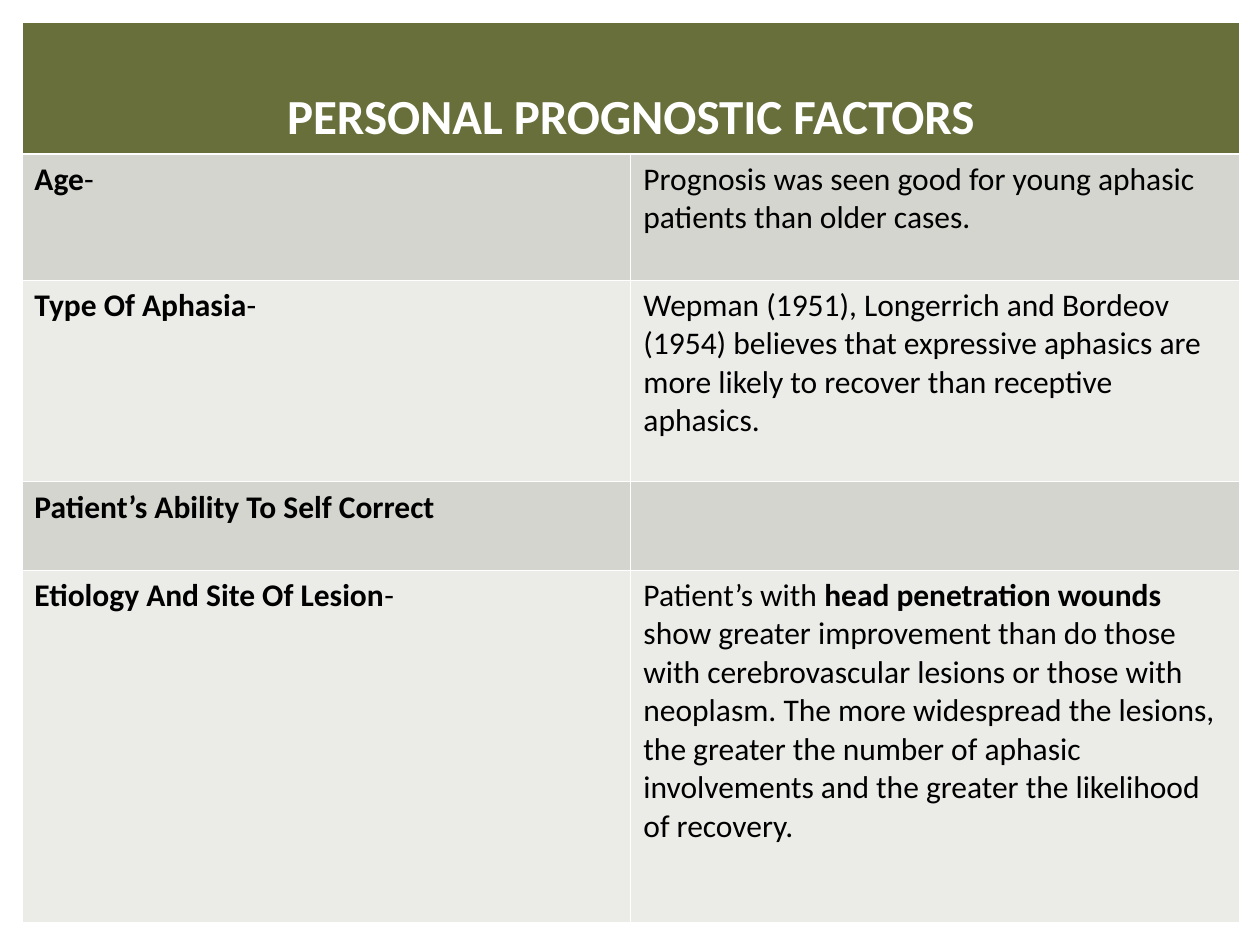
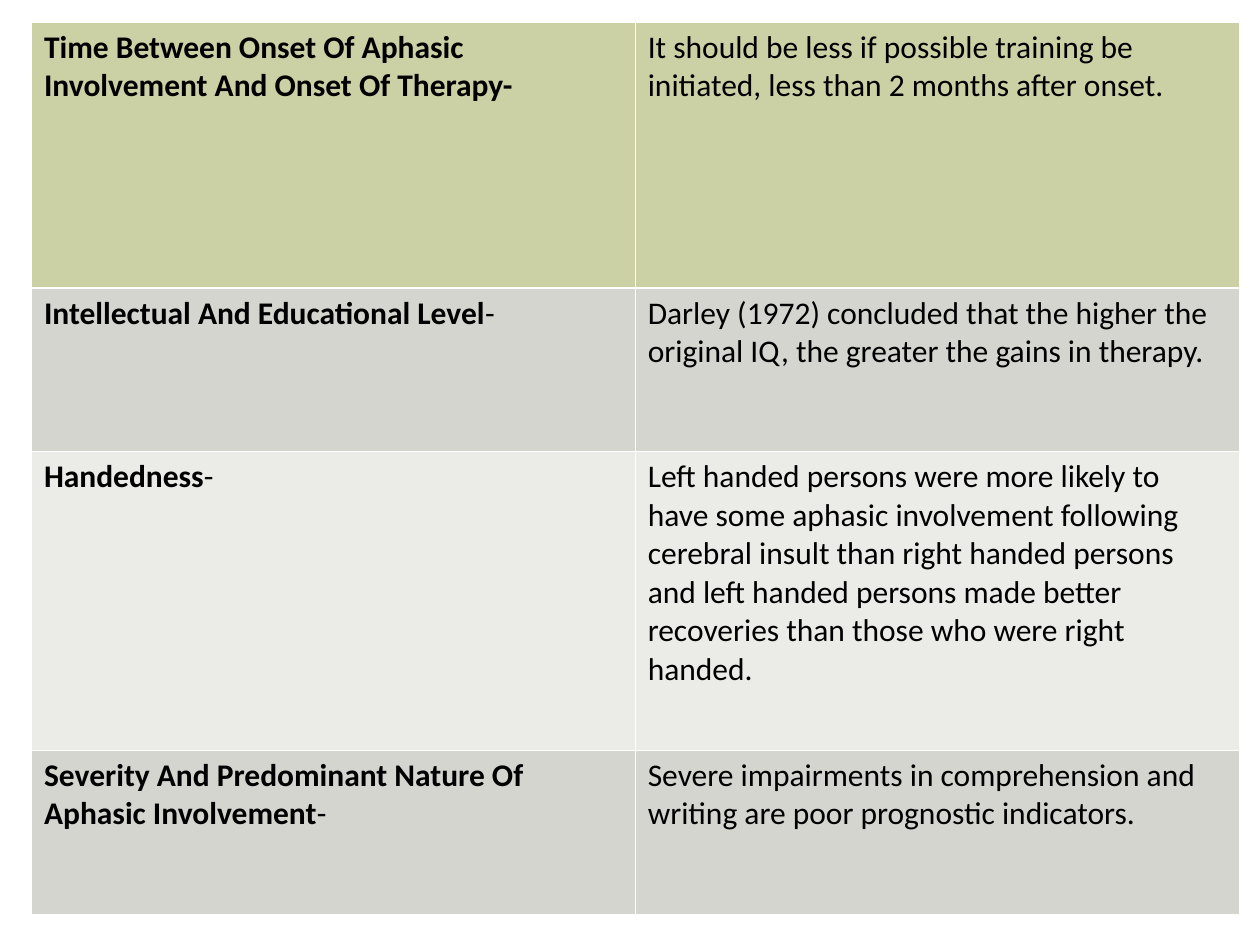
"""Build two table slides on the prognostic factors of aphasia."""
from lxml.etree import SubElement as Sub
from pptx import Presentation
from pptx.dml.color import RGBColor
from pptx.enum.text import PP_ALIGN as Align
from pptx.oxml.ns import qn
from pptx.util import Pt

WHITE = RGBColor(0xFF, 0xFF, 0xFF)
BLACK = RGBColor(0, 0, 0)
OLIVE = RGBColor(0x68, 0x6F, 0x3A)
LIME = RGBColor(0xCB, 0xD0, 0xA5)
GREY = RGBColor(0xD4, 0xD5, 0xCE)
PALE = RGBColor(0xEB, 0xEB, 0xE8)
BANDS = [GREY, PALE]
FONT = "Calibri"
THIN, THICK = 0.45, 1.47


def edge(cell, side, width):
    line = Sub(cell._tc.get_or_add_tcPr(), qn(f"a:ln{side}"), w=str(Pt(width)))
    fill = Sub(line, qn("a:solidFill"))
    Sub(fill, qn("a:srgbClr"), val=str(WHITE))


def write(cell, text, size, color):
    para = cell.text_frame.paragraphs[0]
    para.font.name = FONT
    para.font.size = Pt(size)
    para.font.color.rgb = color
    parts = [(part, i % 2 == 1) for i, part in enumerate(text.split("*")) if part]
    for part, bold in parts:
        run = para.add_run()
        run.text = part
        if len(parts) > 1:
            run.font.bold = bold
    if len(parts) == 1:
        para.font.bold = parts[0][1]
    return para


FACTORS = [
    ("*PERSONAL PROGNOSTIC FACTORS*", ""),
    ("*Age*-", "Prognosis was seen good for young aphasic patients than older cases."),
    ("*Type Of Aphasia*-",
     "Wepman (1951), Longerrich and Bordeov (1954) believes that expressive "
     "aphasics are more likely to recover than receptive aphasics."),
    ("*Patient’s Ability To Self Correct*", ""),
    ("*Etiology And Site Of Lesion*-",
     "Patient’s with *head penetration wounds *show greater improvement than do "
     "those with cerebrovascular lesions or those with neoplasm. The more "
     "widespread the lesions, the greater the number of aphasic involvements "
     "and the greater the likelihood of recovery."),
]
MORE = [
    ("*Time Between Onset Of Aphasic Involvement And Onset Of Therapy-*",
     "It should be less if possible training be initiated, less than 2 months "
     "after onset."),
    ("*Intellectual And Educational Level*-",
     "Darley (1972) concluded that the higher the original IQ, the greater the "
     "gains in therapy."),
    ("*Handedness*-",
     "Left handed persons were more likely to have some aphasic involvement "
     "following cerebral insult than right handed persons and left handed "
     "persons made better recoveries than those who were right handed."),
    ("*Severity And Predominant Nature Of Aphasic Involvement*-",
     "Severe impairments in comprehension and writing are poor prognostic "
     "indicators."),
]
TABLES = [
    (FACTORS, 12.5, 348, [74, 72, 115.2, 50.4, 201.6], OLIVE, True),
    (MORE, 18, 345, [152, 93.6, 170.6, 93.6], LIME, False),
]
TOP = 12.5

deck = Presentation()
deck.slide_width, deck.slide_height = Pt(720), Pt(540)

for rows, left, width, heights, head, titled in TABLES:
    slide = deck.slides.add_slide(deck.slide_layouts[6])
    table = slide.shapes.add_table(
        len(rows), 2, Pt(left), Pt(TOP), Pt(2 * width), Pt(sum(heights))).table
    table.first_row = table.horz_banding = False
    for col in table.columns:
        col.width = Pt(width)
    for r, (texts, height) in enumerate(zip(rows, heights)):
        table.rows[r].height = Pt(height)
        for c, text in enumerate(texts):
            cell = table.cell(r, c)
            for side in "LRTB":
                bold = (r, side) in [(0, "B"), (1, "T")]
                edge(cell, side, THICK if bold else THIN)
            cell.fill.solid()
            cell.fill.fore_color.rgb = BANDS[(r - 1) % 2] if r else head
            cell.margin_left = cell.margin_right = Pt(7.2)
            cell.margin_top = cell.margin_bottom = Pt(3.6)
            title = titled and r == 0
            para = write(cell, text, 28 if title else 18, WHITE if title else BLACK)
            if title:
                para.alignment = Align.CENTER
                cell.margin_top = Pt(37.8 if c == 0 else 3.6)
    if titled:
        table.cell(0, 0).merge(table.cell(0, 1))

deck.save("out.pptx")
